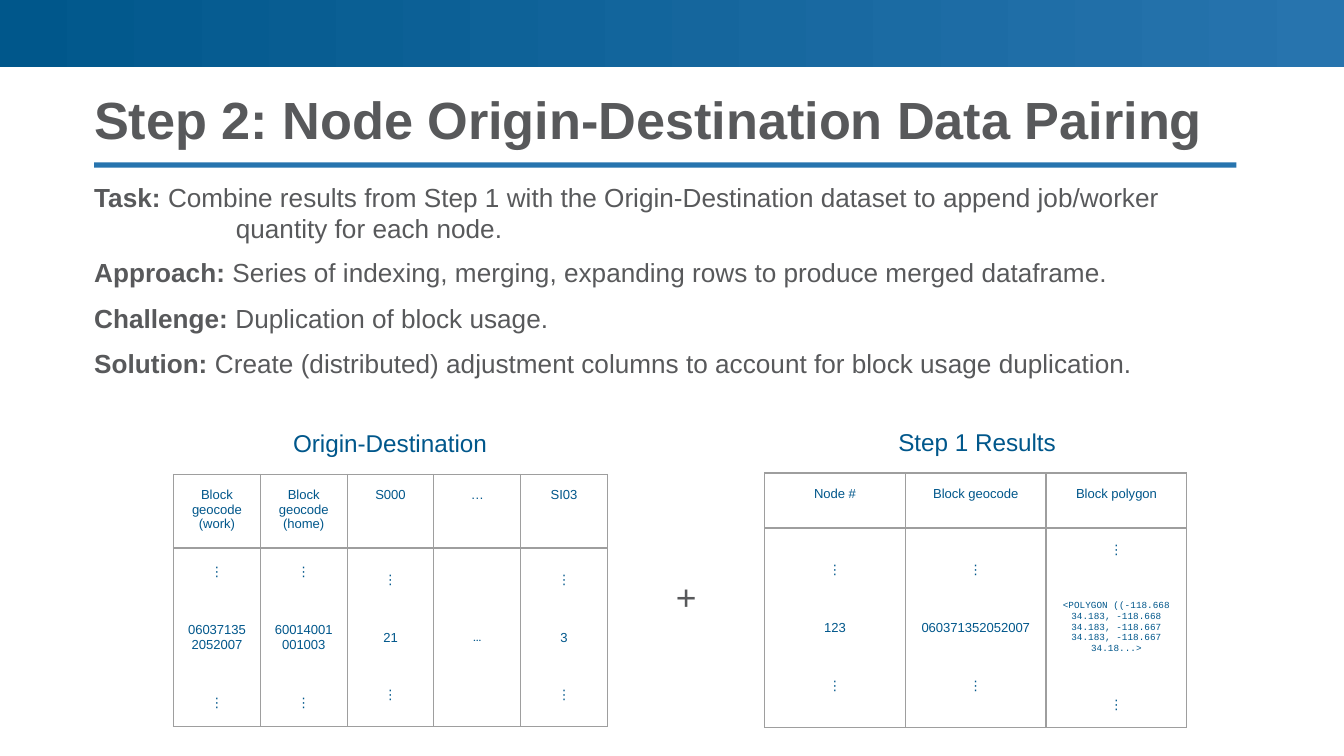
from lxml import etree
from pptx import Presentation
from pptx.dml.color import RGBColor
from pptx.enum.shapes import MSO_SHAPE
from pptx.enum.text import MSO_ANCHOR, MSO_AUTO_SIZE, PP_ALIGN
from pptx.oxml.ns import qn
from pptx.util import Cm, Pt

RECT = MSO_SHAPE.RECTANGLE
TOP, MIDDLE, BOTTOM = MSO_ANCHOR.TOP, MSO_ANCHOR.MIDDLE, MSO_ANCHOR.BOTTOM
LEFT, CENTER = PP_ALIGN.LEFT, PP_ALIGN.CENTER
FIXED = MSO_AUTO_SIZE.NONE

NAVY, BLUE, GRAY, RULE = "00578B", "2774AE", "58595B", "9E9E9E"
EDGE, WIDE = 1.78, 21.59  # left margin and width of the text column
PAD = 0.25
DOTS = "⋮"

TASK = [("Task: ", "Combine results from Step 1 with the Origin-Destination "
         "dataset to append job/worker \n\t quantity for each node.")]
POINTS = [
    ("Approach:", " Series of indexing, merging, expanding rows to produce merged dataframe."),
    ("Challenge:", " Duplication of block usage."),
    ("Solution:", " Create (distributed) adjustment columns to account for block usage duplication."),
]
PAIRS = [  # header, sample value
    ("Block geocode (work)", "060371352052007"),
    ("Block geocode (home)", "60014001001003"),
    ("S000", "21"),
    ("…", "…"),
    ("SI03", "3"),
]
NODES = [
    ("Node #", "123"),
    ("Block geocode", "060371352052007"),
    ("Block polygon", "<POLYGON ((-118.668 34.183, -118.668 34.183, "
     "-118.667 34.183, -118.667 34.18...>"),
]


def color(code):
    return RGBColor.from_string(code)


def style(para, size, code, face="Arial", bold=False):
    for run in para.runs:
        font = run.font
        font.size, font.name, font.bold = Pt(size), face, bold
        font.color.rgb = color(code)


def place(shape, x, y, w, h):
    shape.left, shape.top, shape.width, shape.height = Cm(x), Cm(y), Cm(w), Cm(h)


def inset(item, left, top, right, bottom):
    item.margin_left, item.margin_top = Cm(left), Cm(top)
    item.margin_right, item.margin_bottom = Cm(right), Cm(bottom)


def add_bar(slide, x, y, w, h):
    bar = slide.shapes.add_shape(RECT, Cm(x), Cm(y), Cm(w), Cm(h))
    bar.shadow.inherit = False
    bar.line.fill.background()
    return bar.fill


def set_title(shape, text):
    place(shape, EDGE, EDGE, WIDE, 1.07)
    frame = shape.text_frame
    frame.text = text
    frame.auto_size, frame.vertical_anchor = FIXED, BOTTOM
    inset(frame, 0, 0, 0, 0)
    para = frame.paragraphs[0]
    para.alignment, para.line_spacing = LEFT, 0.9
    style(para, 28, GRAY, bold=True)


def set_body(shape, y, h, items):
    """Fill a body placeholder with paragraphs that open with a bold lead."""
    place(shape, EDGE, y, WIDE, h)
    frame = shape.text_frame
    frame.auto_size, frame.vertical_anchor = FIXED, TOP
    inset(frame, 0, 0, 1.02, 0)
    for i, (lead, rest) in enumerate(items):
        para = frame.add_paragraph() if i else frame.paragraphs[0]
        para.text = lead
        for j, line in enumerate(rest.split("\n")):
            if j:
                para.add_line_break()
            para.add_run().text = line
        style(para, 14, GRAY)
        para.runs[0].font.bold = True
        para.space_before, para.alignment = Pt(7.5), LEFT
        # No bullet, no indent, tab stops every inch
        props = para._p.get_or_add_pPr()
        for key, value in (("marL", 0), ("indent", 0), ("defTabSz", Cm(2.54))):
            props.set(key, str(int(value)))
        etree.SubElement(props, qn("a:buNone"))


def add_label(slide, text, x, y, w, h, size, code):
    frame = slide.shapes.add_textbox(Cm(x), Cm(y), Cm(w), Cm(h)).text_frame
    frame.text = text
    frame.word_wrap = True
    inset(frame, PAD, PAD, PAD, PAD)
    para = frame.paragraphs[0]
    para.alignment = CENTER
    style(para, size, code)


def set_border(cell):
    props = cell._tc.get_or_add_tcPr()
    for side in ("lnL", "lnR", "lnT", "lnB"):
        line = etree.SubElement(props, qn("a:" + side), w=str(int(Pt(0.75))))
        fill = etree.SubElement(line, qn("a:solidFill"))
        etree.SubElement(fill, qn("a:srgbClr"), val=RULE)


def fill_cell(cell, lines, anchor):
    cell.text = "\n".join(lines)
    cell.vertical_anchor = anchor
    inset(cell, PAD, PAD, PAD, PAD)
    set_border(cell)
    cell.fill.background()
    for i, para in enumerate(cell.text_frame.paragraphs):
        para.alignment = CENTER
        face, size = "Arial", 7
        if anchor == MIDDLE:
            if para.text in (DOTS, "…"):
                face = "Roboto"
            elif para.text.startswith("<"):
                face, size = "Courier New", 5
            if i:
                para.space_before = Pt(23)
            if i == len(lines) - 1:
                para.space_after = Pt(23)
        style(para, size, NAVY, face)


def add_grid(slide, data, x, y, col, rows):
    frame = slide.shapes.add_table(2, len(data), Cm(x), Cm(y),
                                   Cm(col * len(data)), Cm(sum(rows)))
    table = frame.table
    table.first_row = table.horz_banding = False
    for row, high in zip(table.rows, rows):
        row.height = Cm(high)
    for i, (head, value) in enumerate(data):
        table.columns[i].width = Cm(col)
        fill_cell(table.cell(0, i), [head], TOP)
        lines = [value] if value == "…" else [DOTS, value, DOTS]
        fill_cell(table.cell(1, i), lines, MIDDLE)


def main():
    deck = Presentation()
    deck.slide_width, deck.slide_height = Cm(25.4), Cm(14.29)
    slide = deck.slides.add_slide(deck.slide_layouts[3])

    # Top band and rule under the title
    band = add_bar(slide, 0, 0, 25.4, 1.27)
    band.gradient()
    band.gradient_angle = 0
    for stop, spot, code in zip(band.gradient_stops, (0, 1), (NAVY, BLUE)):
        stop.position, stop.color.rgb = spot, color(code)
    rule = add_bar(slide, EDGE, 3.07, WIDE, 0.1)
    rule.solid()
    rule.fore_color.rgb = color(BLUE)

    # Title and text
    set_title(slide.shapes.title, "Step 2: Node Origin-Destination Data Pairing")
    set_body(slide.placeholders[1], 3.43, 1.19, TASK)
    set_body(slide.placeholders[2], 4.85, 2.34, POINTS)

    # The two tables to be joined
    add_label(slide, "Origin-Destination", 4.78, 7.85, 5.18, 0.69, 13, NAVY)
    add_grid(slide, PAIRS, 3.28, 8.97, 1.64, (1.24, 3.38))
    add_label(slide, "+", 11.84, 10.62, 2.26, 1.5, 19, GRAY)
    add_label(slide, "Step 1 Results", 16.33, 7.82, 4.27, 0.69, 13, NAVY)
    add_grid(slide, NODES, 14.45, 8.94, 2.66, (1.04, 3.3))

    deck.save("out.pptx")


if __name__ == "__main__":
    main()
